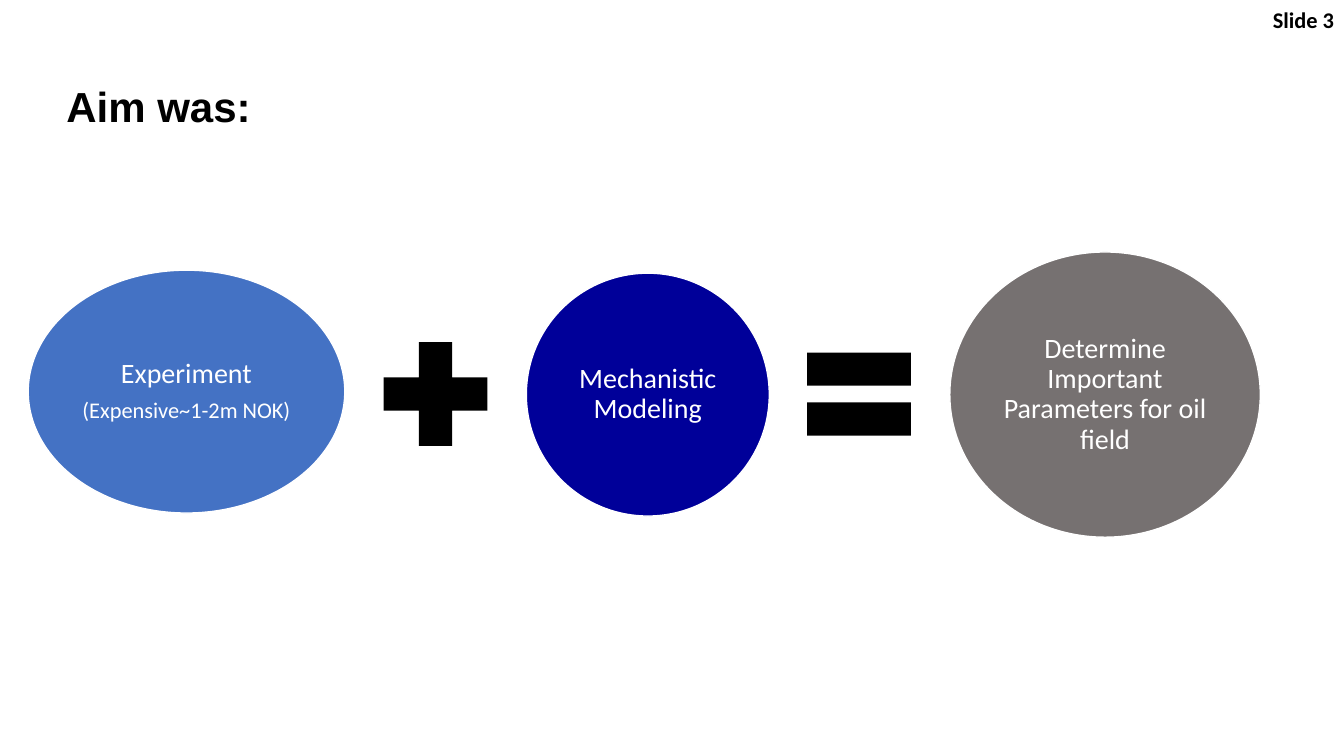
from pptx import Presentation
from pptx.dml.color import RGBColor
from pptx.enum.shapes import MSO_SHAPE as Shape
from pptx.enum.text import MSO_ANCHOR as Anchor, PP_ALIGN as Align
from pptx.util import Inches, Pt

COLORS = {
    "black": "000000",
    "white": "FFFFFF",
    "blue": "4472C4",
    "navy": "000099",
    "gray": "767171",
}


def color(name):
    """Return the named colour."""
    return RGBColor.from_string(COLORS[name])


def style_text(para, size, font, ink, align, bold=False):
    """Format a paragraph and its runs."""
    para.alignment = align
    for span in para.runs:
        span.font.size = Pt(size)
        span.font.name = font
        span.font.bold = bold
        span.font.color.rgb = color(ink)


def add_label(page, place, text, size, font, align):
    """Add a bold black line of text."""
    box = page.shapes.add_textbox(*map(Inches, place))
    frame = box.text_frame
    frame.word_wrap = True
    frame.text = text
    style_text(frame.paragraphs[0], size, font, "black", align, bold=True)


def add_filled(page, kind, place, fill):
    """Add a flat shape without an outline."""
    shape = page.shapes.add_shape(kind, *map(Inches, place))
    shape.shadow.inherit = False
    shape.fill.solid()
    shape.fill.fore_color.rgb = color(fill)
    shape.line.fill.background()
    return shape


def add_term(page, place, fill, lines):
    """Add an ellipse holding one term of the equation."""
    ellipse = add_filled(page, Shape.OVAL, place, fill)
    ellipse.line.color.rgb = color("white")
    ellipse.line.width = Pt(1)
    frame = ellipse.text_frame
    frame.word_wrap = True
    frame.vertical_anchor = Anchor.MIDDLE
    frame.margin_left = frame.margin_right = Inches(0.03)
    frame.margin_top = frame.margin_bottom = Inches(0.03)
    frame.text = "\n".join(text for text, size in lines)
    for para, (text, size) in zip(frame.paragraphs, lines):
        style_text(para, size, "Calibri", "white", Align.CENTER)
        para.line_spacing = 0.9
        para.space_after = Pt(7)


def add_operator(page, kind, left):
    """Add a black mathematical sign between two terms."""
    add_filled(page, kind, (left, 3.21, 1.4, 1.4), "black")


def main():
    """Build the slide and save it."""
    deck = Presentation()
    deck.slide_width, deck.slide_height = Inches(13.33), Inches(7.5)
    page = deck.slides.add_slide(deck.slide_layouts[6])

    add_label(page, (0.56, 0.75, 12.21, 0.58), "Aim was:", 30, "Arial", Align.LEFT)
    add_term(page, (0.28, 2.68, 3.14, 2.41), "blue",
             [("Experiment", 20), ("(Expensive~1-2m NOK)", 16)])
    add_operator(page, Shape.MATH_PLUS, 3.62)
    add_term(page, (5.22, 2.71, 2.41, 2.41), "navy", [("Mechanistic Modeling", 20)])
    add_operator(page, Shape.MATH_EQUAL, 7.82)
    add_term(page, (9.42, 2.5, 3.08, 2.83), "gray",
             [("Determine Important Parameters for oil field", 20)])
    add_label(page, (11.66, 0.01, 1.67, 0.37), "Slide 3", 16, "Calibri", Align.RIGHT)

    deck.save("out.pptx")


if __name__ == "__main__":
    main()
